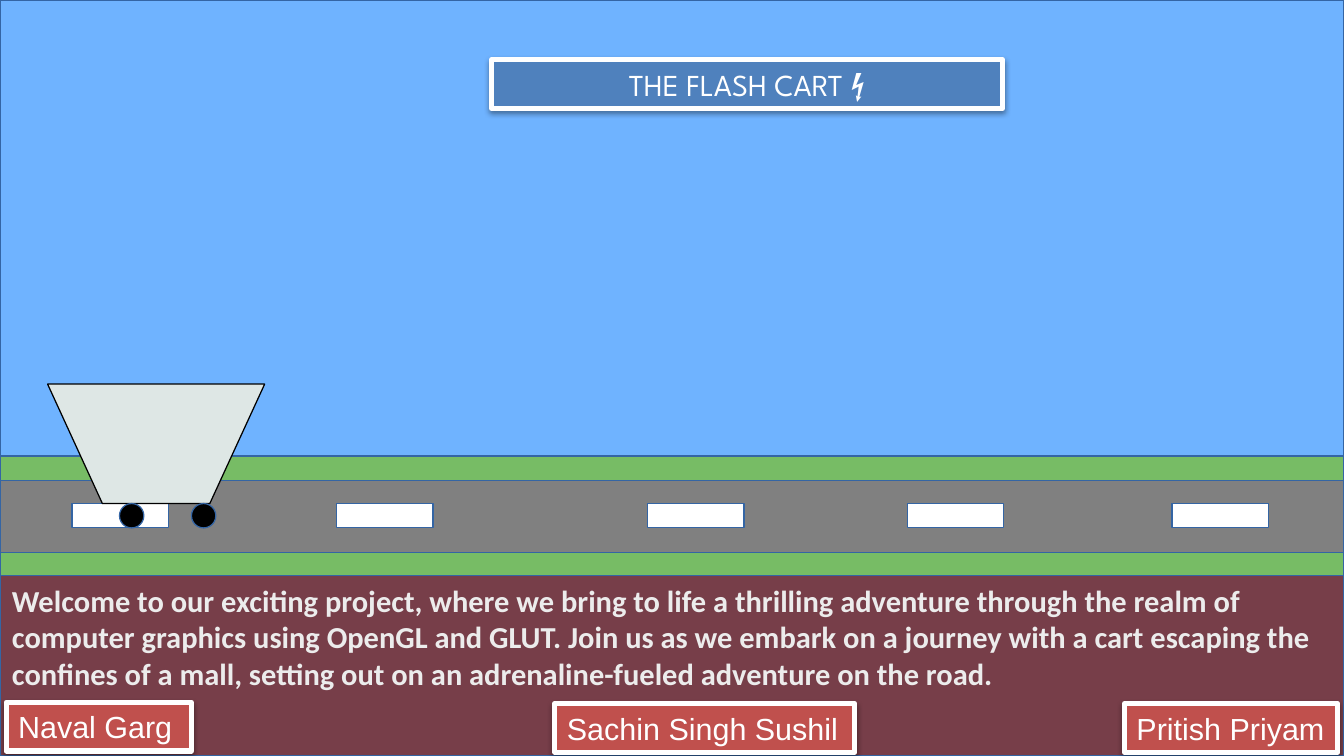
from lxml import etree
from pptx import Presentation
from pptx.dml.color import RGBColor
from pptx.enum.shapes import MSO_SHAPE as Preset
from pptx.enum.text import MSO_ANCHOR as Anchor, MSO_AUTO_SIZE as AutoSize, PP_ALIGN as Align
from pptx.oxml.ns import qn
from pptx.util import Inches, Pt

WIDTH, HEIGHT = 11.02, 6.2
COLOURS = {
    "sky": "6FB3FF", "grass": "77BC65", "road": "808080", "white": "FFFFFF",
    "panel": "773E49", "cart": "DEE7E5", "black": "000000", "outline": "3465A4",
    "title": "4F81BD", "name": "C0504D", "intro": "ECECEC",
}
INTRO = (
    "Welcome to our exciting project, where we bring to life a thrilling adventure "
    "through the realm of computer graphics using OpenGL and GLUT. Join us as we embark "
    "on a journey with a cart escaping the confines of a mall, setting out on an "
    "adrenaline-fueled adventure on the road."
)


def colour(name):
    return RGBColor.from_string(COLOURS[name])


def paint(shape, fill, line="outline", width=0):
    shape.shadow.inherit = False
    shape.fill.solid()
    shape.fill.fore_color.rgb = colour(fill)
    shape.line.color.rgb = colour(line)
    shape.line.width = Pt(width)


def add_block(slide, box, fill, preset=Preset.RECTANGLE):
    shape = slide.shapes.add_shape(preset, *map(Inches, box))
    paint(shape, fill)
    return shape


def add_drop_shadow(shape):
    effects = shape._element.spPr.find(qn("a:effectLst"))
    shadow = etree.SubElement(effects, qn("a:outerShdw"), blurRad="40000",
                              dist="20000", dir="5400000", rotWithShape="0")
    tint = etree.SubElement(shadow, qn("a:srgbClr"), val=COLOURS["black"])
    etree.SubElement(tint, qn("a:alpha"), val="38000")


def write(shape, text, font, ink, align=Align.LEFT, bold=False):
    frame = shape.text_frame
    frame.word_wrap = True
    frame.auto_size = AutoSize.SHAPE_TO_FIT_TEXT
    frame.vertical_anchor = Anchor.TOP
    paragraph = frame.paragraphs[0]
    paragraph.alignment = align
    run = paragraph.add_run()
    run.text = text
    run.font.name = font
    run.font.size = Pt(18)
    run.font.bold = bold
    run.font.color.rgb = colour(ink)


def add_sign(slide, box, fill, text, font="Arial", align=Align.LEFT):
    sign = add_block(slide, box, fill)
    paint(sign, fill, "white", 3)
    add_drop_shadow(sign)
    write(sign, text, font, "white", align)


def add_cart(slide):
    corners = [(Inches(x), Inches(y)) for x, y in
               [(0.39, 3.15), (2.17, 3.15), (1.72, 4.13), (0.84, 4.13)]]
    builder = slide.shapes.build_freeform(*corners[0])
    builder.add_line_segments(corners[1:], close=True)
    paint(builder.convert_to_shape(), "cart", "black")
    for left in (1.57, 0.98):
        add_block(slide, (left, 4.13, 0.2, 0.2), "black", Preset.OVAL)


def main():
    presentation = Presentation()
    presentation.slide_width = Inches(WIDTH)
    presentation.slide_height = Inches(HEIGHT)
    slide = presentation.slides.add_slide(presentation.slide_layouts[6])

    # Sky, verges and road
    for top, height, fill in [(0, 3.74, "sky"), (3.74, 0.2, "grass"),
                              (4.53, 0.2, "grass"), (3.94, 0.59, "road")]:
        add_block(slide, (0, top, WIDTH, height), fill)

    # Lane markings
    for left in (0.59, 2.76, 5.31, 7.44, 9.61):
        add_block(slide, (left, 4.13, 0.79, 0.2), "white")

    # Text panel and cart
    add_block(slide, (0, 4.72, WIDTH, 1.48), "panel")
    add_cart(slide)

    # Title and names
    add_sign(slide, (4.03, 0.49, 4.19, 0.4), "title", "THE FLASH CART ⚡",
             "League Spartan", Align.CENTER)
    for left, top, width, name in [(0.05, 5.76, 1.52, "Naval Garg"),
                                   (4.55, 5.77, 2.46, "Sachin Singh Sushil"),
                                   (9.22, 5.77, 1.75, "Pritish Priyam")]:
        add_sign(slide, (left, top, width, 0.4), "name", name)

    # Introduction
    intro = slide.shapes.add_textbox(*map(Inches, (0, 4.72, 10.97, 1.01)))
    write(intro, INTRO, "Calibri", "intro", bold=True)

    presentation.save("out.pptx")


if __name__ == "__main__":
    main()
